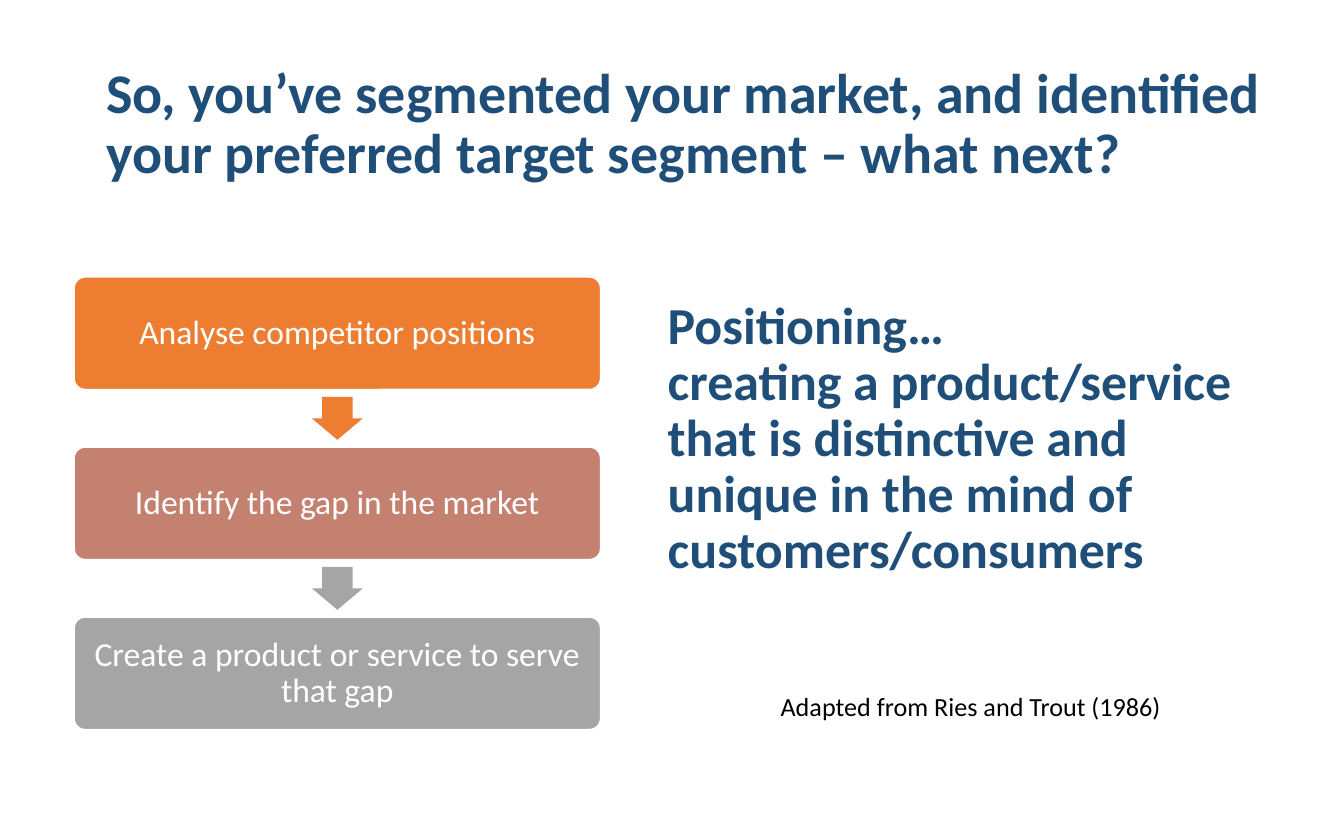
import pptx
import pptx.dml.color
import pptx.enum.shapes
import pptx.enum.text
import pptx.util

SLIDE_WIDTH, SLIDE_HEIGHT = 10, 6.25
FONT = "Calibri"
COLOURS = {
    "navy": "1F4E79",
    "orange": "ED7D31",
    "rose": "C48170",
    "grey": "A5A5A5",
    "white": "FFFFFF",
    "black": "000000",
}

# The flow is one column of boxes at an equal pitch.
FLOW_LEFT, FLOW_TOP = 0.55, 2.06
BOX_WIDTH, BOX_HEIGHT, ROW_PITCH = 3.92, 0.84, 1.265
ARROW_WIDTH, ARROW_HEIGHT = 0.38, 0.32

STEPS = [
    ("Analyse competitor positions", "orange"),
    ("Identify the gap in the market", "rose"),
    ("Create a product or service to serve that gap", "grey"),
]
ARROW_COLOURS = ["orange", "grey"]

Shapes = pptx.enum.shapes.MSO_SHAPE
Align = pptx.enum.text.PP_ALIGN
Anchor = pptx.enum.text.MSO_ANCHOR


def colour(name):
    return pptx.dml.color.RGBColor.from_string(COLOURS[name])


def inches(*lengths):
    return [pptx.util.Inches(length) for length in lengths]


def write_text(shape, text, size, color, bold=False, align=Align.LEFT,
               anchor=Anchor.MIDDLE, line_spacing=0.9, margin=None):
    """Fill a shape with text, one paragraph for each line."""
    frame = shape.text_frame
    frame.word_wrap = True
    frame.auto_size = pptx.enum.text.MSO_AUTO_SIZE.NONE
    frame.vertical_anchor = anchor
    if margin is not None:
        frame.margin_left = frame.margin_right = pptx.util.Inches(margin)
        frame.margin_top = frame.margin_bottom = pptx.util.Inches(margin)
    frame.text = text
    for paragraph in frame.paragraphs:
        paragraph.alignment = align
        paragraph.line_spacing = line_spacing
        paragraph.space_before = pptx.util.Pt(0)
        for run in paragraph.runs:
            run.font.name = FONT
            run.font.size = pptx.util.Pt(size)
            run.font.bold = bold
            run.font.color.rgb = colour(color)


def add_title(slide, text):
    title = slide.shapes.title
    title.left, title.top, title.width, title.height = inches(0.69, 0.33, 8.84, 1.21)
    write_text(title, text, size=30, color="navy", bold=True)


def add_text(slide, left, top, width, height, text, **text_format):
    box = slide.shapes.add_textbox(*inches(left, top, width, height))
    write_text(box, text, **text_format)


def add_filled_shape(slide, kind, left, top, width, height, fill, adjustments):
    shape = slide.shapes.add_shape(kind, *inches(left, top, width, height))
    shape.shadow.inherit = False
    shape.fill.solid()
    shape.fill.fore_color.rgb = colour(fill)
    shape.line.fill.background()
    for index, value in enumerate(adjustments):
        shape.adjustments[index] = value
    return shape


def add_step(slide, row, text, fill):
    box = add_filled_shape(slide, Shapes.ROUNDED_RECTANGLE, FLOW_LEFT,
                           FLOW_TOP + row * ROW_PITCH, BOX_WIDTH, BOX_HEIGHT,
                           fill, [0.1])
    box.line.color.rgb = colour("white")
    box.line.width = pptx.util.Pt(1)
    write_text(box, text, size=18, color="white", align=Align.CENTER, margin=0.07)


def add_step_arrow(slide, row, fill):
    """Centre a down arrow in the gap below a row."""
    left = FLOW_LEFT + (BOX_WIDTH - ARROW_WIDTH) / 2
    gap = ROW_PITCH - BOX_HEIGHT
    top = FLOW_TOP + row * ROW_PITCH + BOX_HEIGHT + (gap - ARROW_HEIGHT) / 2
    add_filled_shape(slide, Shapes.DOWN_ARROW, left, top, ARROW_WIDTH,
                     ARROW_HEIGHT, fill, [0.6, 0.5])


def main():
    presentation = pptx.Presentation()
    presentation.slide_width, presentation.slide_height = inches(SLIDE_WIDTH, SLIDE_HEIGHT)
    title_only = presentation.slide_layouts.get_by_name("Title Only")
    slide = presentation.slides.add_slide(title_only)

    add_title(slide, "So, you’ve segmented your market, and identified "
                     "your preferred target segment – what next?")
    add_text(slide, 4.87, 2.08, 4.66, 2.38,
             "Positioning…\ncreating a product/service that is distinctive "
             "and unique in the mind of customers/consumers",
             size=27.8, color="navy", bold=True)
    add_text(slide, 5.71, 5.09, 3.91, 0.34, "Adapted from Ries and Trout (1986)",
             size=14, color="black", anchor=Anchor.TOP, line_spacing=1.0)

    for row, (text, fill) in enumerate(STEPS):
        add_step(slide, row, text, fill)
    for row, fill in enumerate(ARROW_COLOURS):
        add_step_arrow(slide, row, fill)

    presentation.save("out.pptx")


if __name__ == "__main__":
    main()
